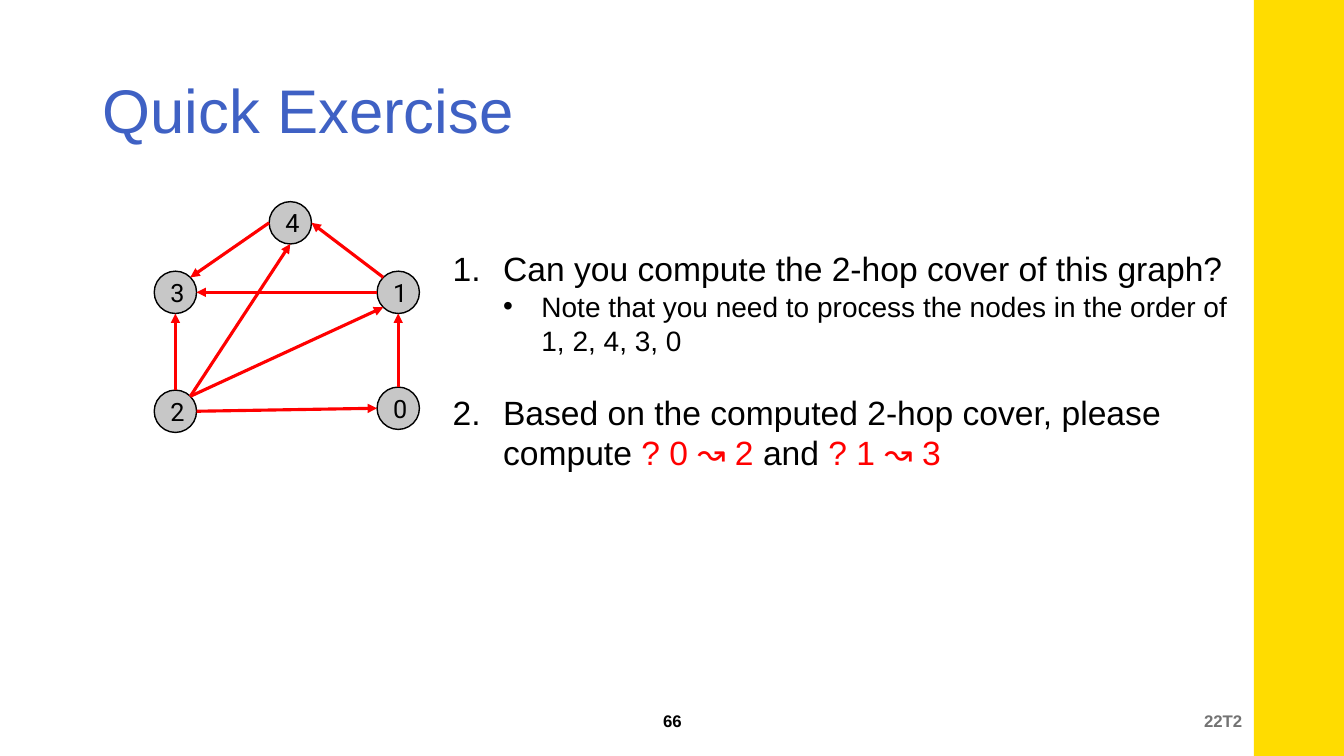
"""Build a slide with a directed graph and two exercise questions."""
from dataclasses import dataclass
from math import cos, radians, sin

from lxml import etree
from pptx import Presentation
from pptx import util as u
from pptx.dml.color import RGBColor
from pptx.enum import shapes, text
from pptx.oxml import ns

WIDTH, HEIGHT = u.Inches(13.33), u.Inches(7.5)


@dataclass(frozen=True)
class Theme:
    """Colours, fonts and type sizes of the slide."""
    blue: str = "3F61C4"
    yellow: str = "FFDC00"
    red: str = "FF0000"
    black: str = "000000"
    node: str = "C7C7C7"
    muted: str = "737373"
    font: str = "Arial"
    node_font: str = "Roboto"
    title: int = 44
    question: int = 24
    note: int = 20
    label: int = 18
    footer: int = 12


THEME = Theme()
NODE_SIZE = int(HEIGHT * 0.056)
NODES = {"0": (29.63, 54), "1": (29.63, 38.67), "2": (13.05, 54.4),
         "3": (13.05, 38.67), "4": (21.6, 29.47)}
TOP, TOP_LEFT, LEFT, BOTTOM_LEFT, BOTTOM, _, RIGHT, TOP_RIGHT = range(8)
EDGES = [("0", TOP, "1", BOTTOM), ("2", TOP_RIGHT, "4", BOTTOM),
         ("1", TOP_LEFT, "4", RIGHT), ("2", TOP, "3", BOTTOM),
         ("2", RIGHT, "0", LEFT), ("4", LEFT, "3", TOP_RIGHT),
         ("1", LEFT, "3", RIGHT), ("2", TOP_RIGHT, "1", BOTTOM_LEFT)]


def area(left, top, width, height):
    """Turn percentages of the slide into lengths."""
    return [int(share * side / 100) for share, side in
            zip((left, top, width, height), (WIDTH, HEIGHT, WIDTH, HEIGHT))]


def place(box, *shares):
    """Move a placeholder to an area of the slide."""
    box.left, box.top, box.width, box.height = area(*shares)


def style(span, size, colour, font=THEME.font, bold=False):
    """Format a run of text."""
    span.font.size, span.font.name, span.font.bold = u.Pt(size), font, bold
    span.font.color.rgb = RGBColor.from_string(colour)


def add_filled(page, kind, bounds, fill):
    """Add a filled preset shape without line or shadow."""
    shape = page.shapes.add_shape(kind, *bounds)
    shape.shadow.inherit = False
    shape.fill.solid()
    shape.fill.fore_color.rgb = RGBColor.from_string(fill)
    shape.line.fill.background()
    return shape


def add_title(page, wording):
    """Fill and format the title placeholder."""
    box = page.shapes.title
    place(box, 6.9, 5.33, 86.27, 19.33)
    frame = box.text_frame
    frame.text = wording
    frame.vertical_anchor = text.MSO_ANCHOR.MIDDLE
    para = frame.paragraphs[0]
    para.alignment, para.line_spacing = text.PP_ALIGN.LEFT, 0.9
    style(para.runs[0], THEME.title, THEME.blue)


def add_item(para, mark, value, indent, hanging, size, before, parts):
    """Fill a list paragraph with its marker and coloured text parts."""
    props = para._p.get_or_add_pPr()
    props.set("marL", str(u.Inches(indent)))
    props.set("indent", str(-u.Inches(hanging)))
    etree.SubElement(props, ns.qn("a:buFont"), typeface=THEME.font)
    etree.SubElement(props, ns.qn(mark), value)
    para.space_before, para.line_spacing = u.Pt(before), 1.0
    for wording, colour in parts:
        span = para.add_run()
        span.text = wording
        style(span, size, colour)


def add_questions(page):
    """Fill the body placeholder with the questions."""
    box = page.placeholders[1]
    place(box, 32.63, 32.1, 59.94, 31.47)
    frame = box.text_frame
    frame.auto_size = text.MSO_AUTO_SIZE.NONE
    number = "a:buAutoNum"
    add_item(frame.paragraphs[0], number, {"type": "arabicPeriod"},
             0.54, 0.5, THEME.question, 0,
             [("Can you compute the 2-hop cover of this graph?", THEME.black)])
    note = frame.add_paragraph()
    note.level = 1
    add_item(note, "a:buChar", {"char": "•"}, 0.92, 0.38, THEME.note, 1,
             [("Note that you need to process the nodes in the order of "
               "1, 2, 4, 3, 0", THEME.black)])
    add_item(frame.add_paragraph(), number,
             {"type": "arabicPeriod", "startAt": "2"},
             0.54, 0.5, THEME.question, 25,
             [("Based on the computed 2-hop cover, please compute ", THEME.black),
              ("? 0 ↝ 2", THEME.red), (" and ", THEME.black),
              ("? 1 ↝ 3", THEME.red)])


def add_node(page, label, across, down):
    """Add a numbered circle around its centre."""
    centre_x, centre_y = area(across, down, 0, 0)[:2]
    half = NODE_SIZE // 2
    node = add_filled(page, shapes.MSO_SHAPE.OVAL,
                      (centre_x - half, centre_y - half, NODE_SIZE, NODE_SIZE),
                      THEME.node)
    node.line.color.rgb = RGBColor.from_string(THEME.black)
    node.line.width = u.Pt(1)
    frame = node.text_frame
    frame.text = label
    frame.word_wrap = False
    frame.margin_left = u.Inches(0.04)
    frame.margin_top = frame.margin_right = frame.margin_bottom = 0
    frame.vertical_anchor = text.MSO_ANCHOR.MIDDLE
    frame.paragraphs[0].alignment = text.PP_ALIGN.CENTER
    style(frame.paragraphs[0].runs[0], THEME.label, THEME.black, THEME.node_font)
    return node


def rim(node, site):
    """Find a connection site, counted anticlockwise from the top."""
    angle, radius = radians(90 + 45 * site), node.width / 2
    return (int(node.left + radius + radius * cos(angle)),
            int(node.top + radius - radius * sin(angle)))


def add_edge(page, start, start_site, end, end_site):
    """Join two nodes with a red arrow."""
    edge = page.shapes.add_connector(shapes.MSO_CONNECTOR.STRAIGHT,
                                     *rim(start, start_site), *rim(end, end_site))
    joints = edge._element.nvCxnSpPr.cNvCxnSpPr
    for tag, node, site in (("a:stCxn", start, start_site),
                            ("a:endCxn", end, end_site)):
        etree.SubElement(joints, ns.qn(tag), id=str(node.shape_id), idx=str(site))
    edge.line.color.rgb = RGBColor.from_string(THEME.red)
    edge.line.width = u.Pt(2.25)
    etree.SubElement(edge.line._get_or_add_ln(), ns.qn("a:tailEnd"), type="triangle")
    etree.SubElement(edge._element.spPr, ns.qn("a:effectLst"))


def add_footer(page, wording, left, width, align, colour):
    """Add a bold footer text."""
    box = page.shapes.add_textbox(*area(left, 92.67, width, 5.33))
    frame = box.text_frame
    frame.word_wrap = True
    frame.text = wording
    frame.vertical_anchor = text.MSO_ANCHOR.MIDDLE
    frame.paragraphs[0].alignment = align
    style(frame.paragraphs[0].runs[0], THEME.footer, colour, bold=True)


def main():
    """Build and save the deck."""
    deck = Presentation()
    deck.slide_width, deck.slide_height = WIDTH, HEIGHT
    page = deck.slides.add_slide(deck.slide_layouts[1])
    add_filled(page, shapes.MSO_SHAPE.RECTANGLE, area(93.3, 0, 6.7, 100),
               THEME.yellow)
    add_title(page, "Quick Exercise")
    nodes = {label: add_node(page, label, *centre)
             for label, centre in NODES.items()}
    for start, start_site, end, end_site in EDGES:
        add_edge(page, nodes[start], start_site, nodes[end], end_site)
    add_questions(page)
    add_footer(page, "22T2", 59.41, 33.76, text.PP_ALIGN.RIGHT, THEME.muted)
    add_footer(page, "66", 38.78, 22.51, text.PP_ALIGN.CENTER, THEME.black)
    deck.save("out.pptx")


if __name__ == "__main__":
    main()
